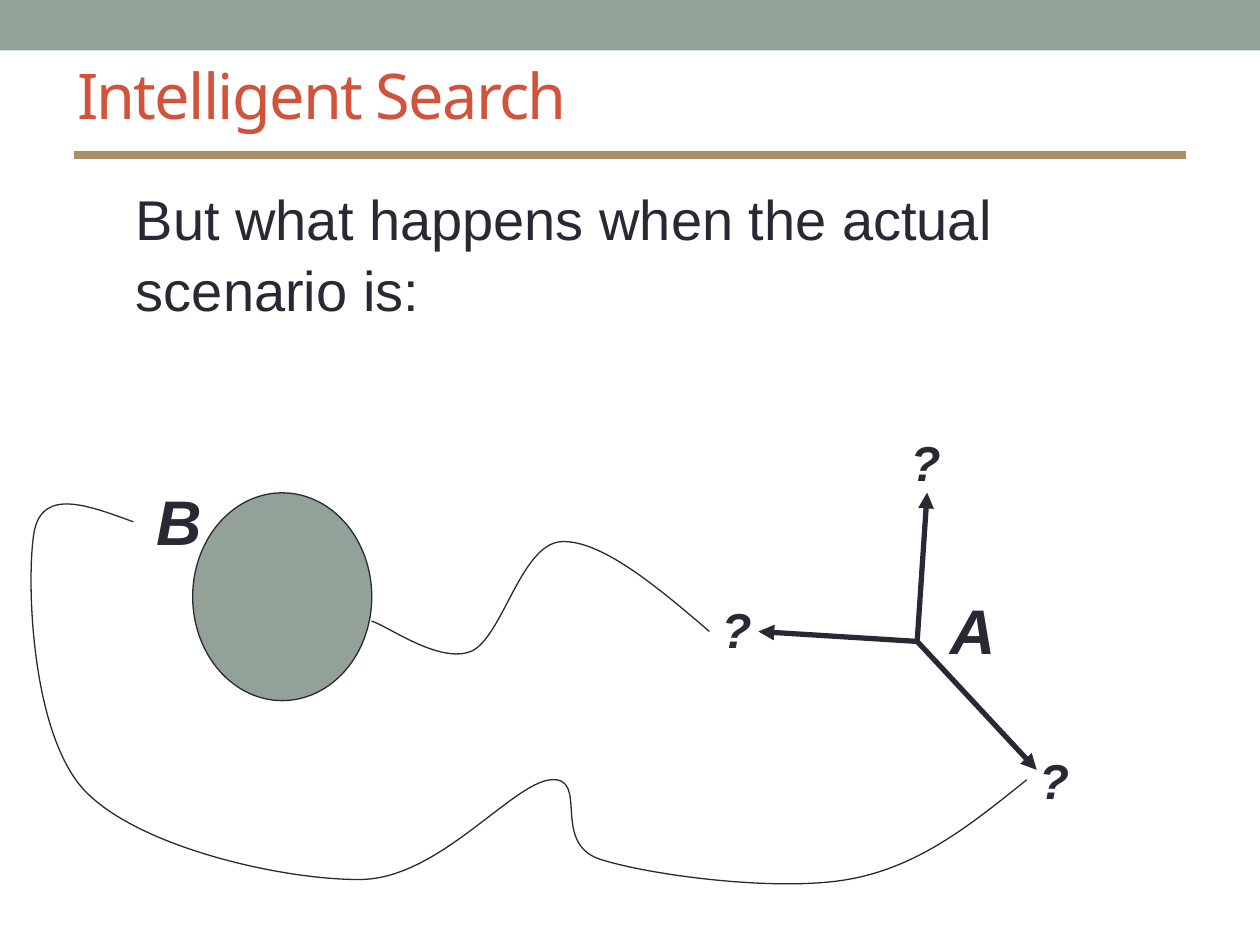
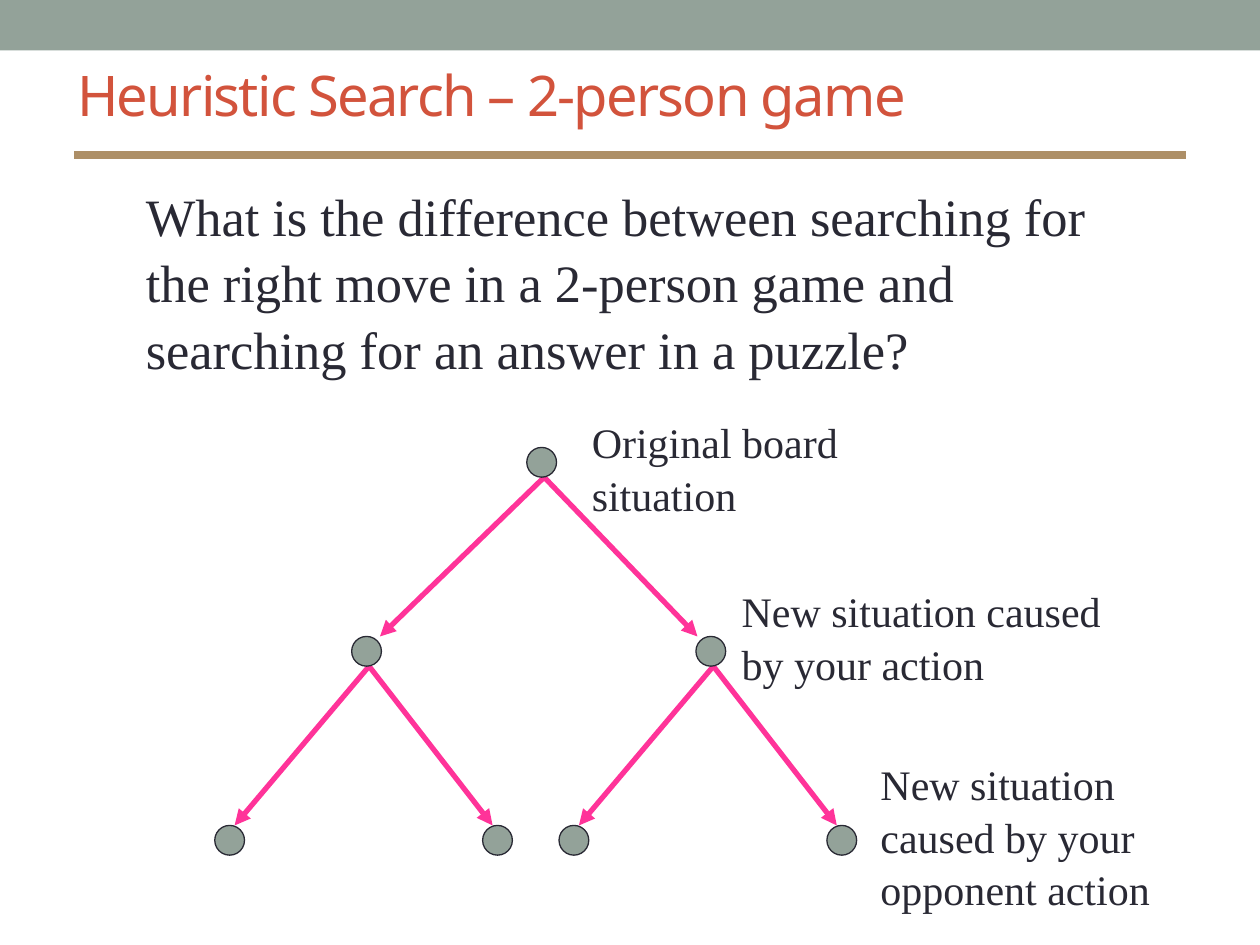
from lxml import etree
from pptx import Presentation
from pptx.dml.color import RGBColor as RGB
from pptx.enum.shapes import MSO_CONNECTOR as CONN, MSO_SHAPE as SHAPE
from pptx.enum.text import MSO_ANCHOR as ANCHOR, MSO_AUTO_SIZE as AUTO, PP_ALIGN as ALIGN
from pptx.oxml.ns import qn
from pptx.util import Cm, Pt

COLORS = {"sage": "93A299", "title": "D2533C", "ink": "292934",
          "rule": "AD8F67", "pink": "FF3399"}
RGBS = {name: RGB.from_string(value) for name, value in COLORS.items()}
SANS, SERIF = "Arial", "Times New Roman"


def add_text(s, text, x, y, w, h, size, font, strong=False):
    """Add a wrapped text box; strong means bold italic."""
    tf = s.shapes.add_textbox(Cm(x), Cm(y), Cm(w), Cm(h)).text_frame
    tf.word_wrap = True
    p = tf.paragraphs[0]
    p.text = text
    p.line_spacing = 1.05
    p.font.name, p.font.size = font, Pt(size)
    p.font.bold = p.font.italic = strong
    p.font.color.rgb = RGBS["ink"]


def add_line(s, start, end, color, width, arrow=True):
    sp = s.shapes.add_connector(CONN.STRAIGHT, *map(Cm, start + end))
    sp.line.color.rgb = RGBS[color]
    sp.line.width = Pt(width)
    if arrow:
        etree.SubElement(sp.line._get_or_add_ln(), qn("a:tailEnd"), type="triangle")
    etree.SubElement(sp._element.spPr, qn("a:effectLst"))


prs = Presentation()
prs.slide_width, prs.slide_height = Cm(25.4), Cm(19.05)

# Band, title and rule on both slides
slides = []
for text, size in (("Intelligent Search", 36), ("Heuristic Search – 2-person game", 32)):
    s = prs.slides.add_slide(prs.slide_layouts[5])
    slides.append(s)
    band = s.shapes.add_shape(SHAPE.RECTANGLE, 0, 0, prs.slide_width, Cm(1.02))
    band.shadow.inherit = False
    band.fill.solid()
    band.fill.fore_color.rgb = RGBS["sage"]
    band.line.fill.background()
    s.shapes._spTree.insert(2, band._element)

    title = s.shapes.title
    title.left, title.top, title.width, title.height = Cm(1.3), Cm(0.71), Cm(22.86), Cm(2.39)
    tf = title.text_frame
    tf.auto_size = AUTO.NONE
    tf.vertical_anchor = ANCHOR.MIDDLE
    p = tf.paragraphs[0]
    p.alignment = ALIGN.LEFT
    r = p.add_run()
    r.text = text
    r.font.name, r.font.size = "Noto Sans", Pt(size)
    r.font.color.rgb = RGBS["title"]
    r._r.get_or_add_rPr().set("spc", "-100")
    add_line(s, (1.5, 3.12), (23.9, 3.12), "rule", 4.5, arrow=False)

scenario, game = slides
ovals = []  # slide, centre x, centre y, width, height

# Scenario: unknown ways from A to B
add_text(scenario, "But what happens when the actual scenario is:",
         2.49, 3.53, 21, 2.97, 32, SANS)
for text, x, y, w, h, size in (
        ("B", 2.9, 9.53, 2, 1.78, 36), ("A", 18.9, 11.73, 1.8, 1.78, 36),
        ("?", 20.7, 14.94, 2, 1.45, 28), ("?", 18.11, 8.53, 2, 1.45, 28),
        ("?", 14.3, 11.91, 2, 1.45, 28)):
    add_text(scenario, text, x, y, w, h, size, SANS, strong=True)
for tip in ((15.29, 12.73), (18.69, 9.93), (20.9, 15.52)):
    add_line(scenario, (18.49, 12.93), tip, "ink", 3)

# Each path: a start, then three points for every curve
long_path = [
    (20.7, 15.72),
    (19.61, 16.59), (18.54, 17.48), (17.09, 17.73),
    (15.67, 17.98), (13.11, 17.65), (12.09, 17.32),
    (11.1, 16.99), (11.89, 15.65), (11.1, 15.72),
    (10.31, 15.8), (8.86, 17.7), (7.29, 17.73),
    (5.74, 17.75), (2.79, 17.09), (1.7, 15.93),
    (0.61, 14.76), (0.53, 11.63), (0.69, 10.72),
    (0.86, 9.83), (1.78, 10.19), (2.69, 10.52)]
short_path = [
    (14.3, 12.73),
    (13.21, 11.79), (12.09, 10.87), (11.3, 10.92),
    (10.49, 11), (10.13, 12.85), (9.5, 13.13),
    (8.86, 13.39), (7.82, 12.62), (7.49, 12.52)]
for path_points in (long_path, short_path):
    start, *rest = [(Cm(x), Cm(y)) for x, y in path_points]
    fb = scenario.shapes.build_freeform(*start)
    fb.add_line_segments(rest, close=False)
    sp = fb.convert_to_shape()
    sp.shadow.inherit = False
    sp.fill.background()
    sp.line.color.rgb = RGBS["ink"]
    sp.line.width = Pt(0.75)
    segments = list(sp._element.iter(qn("a:lnTo")))
    outline = segments[0].getparent()
    for i in range(0, len(segments), 3):
        curve = etree.SubElement(outline, qn("a:cubicBezTo"))
        for segment in segments[i:i + 3]:
            curve.append(segment[0])
            outline.remove(segment)
ovals.append((scenario, 5.69, 12.03, 3.61, 4.19))

# Game: tree of two moves
add_text(game, "What is the difference between searching for the right move "
         "in a 2-person game and searching for an answer in a puzzle?",
         2.69, 3.53, 20.6, 4.06, 30, SERIF)
NODE, LEVEL, ROOT_Y = 0.6, 3.81, 9.32
levels = [[10.92], [7.39, 14.33]]
levels.append([x + dx for x in levels[1] for dx in (-2.76, 2.64)])
tip_insets = (0.27, 0.1)
for depth, xs in enumerate(levels):
    y = ROOT_Y + depth * LEVEL
    for i, x in enumerate(xs):
        ovals.append((game, x, y, NODE, NODE))
        if depth < len(tip_insets):
            left, right = levels[depth + 1][2 * i:2 * i + 2]
            inset = tip_insets[depth]
            for tip_x in (left + inset, right - inset):
                add_line(game, (x + 0.05, y + NODE / 2),
                         (tip_x, y + LEVEL - NODE / 2), "pink", 3)
for text, x, y, w, h in (
        ("Original board situation", 11.68, 8.23, 6.6, 2.29),
        ("New situation caused by your action", 14.7, 11.63, 8, 2.29),
        ("New situation caused by your opponent action", 17.5, 15.11, 6.2, 3.3)):
    add_text(game, text, x, y, w, h, 24, SERIF)

for s, x, y, w, h in ovals:
    sp = s.shapes.add_shape(SHAPE.OVAL, Cm(x - w / 2), Cm(y - h / 2), Cm(w), Cm(h))
    sp.shadow.inherit = False
    sp.fill.solid()
    sp.fill.fore_color.rgb = RGBS["sage"]
    sp.line.color.rgb = RGBS["ink"]
    sp.line.width = Pt(0.75)

prs.save("out.pptx")
